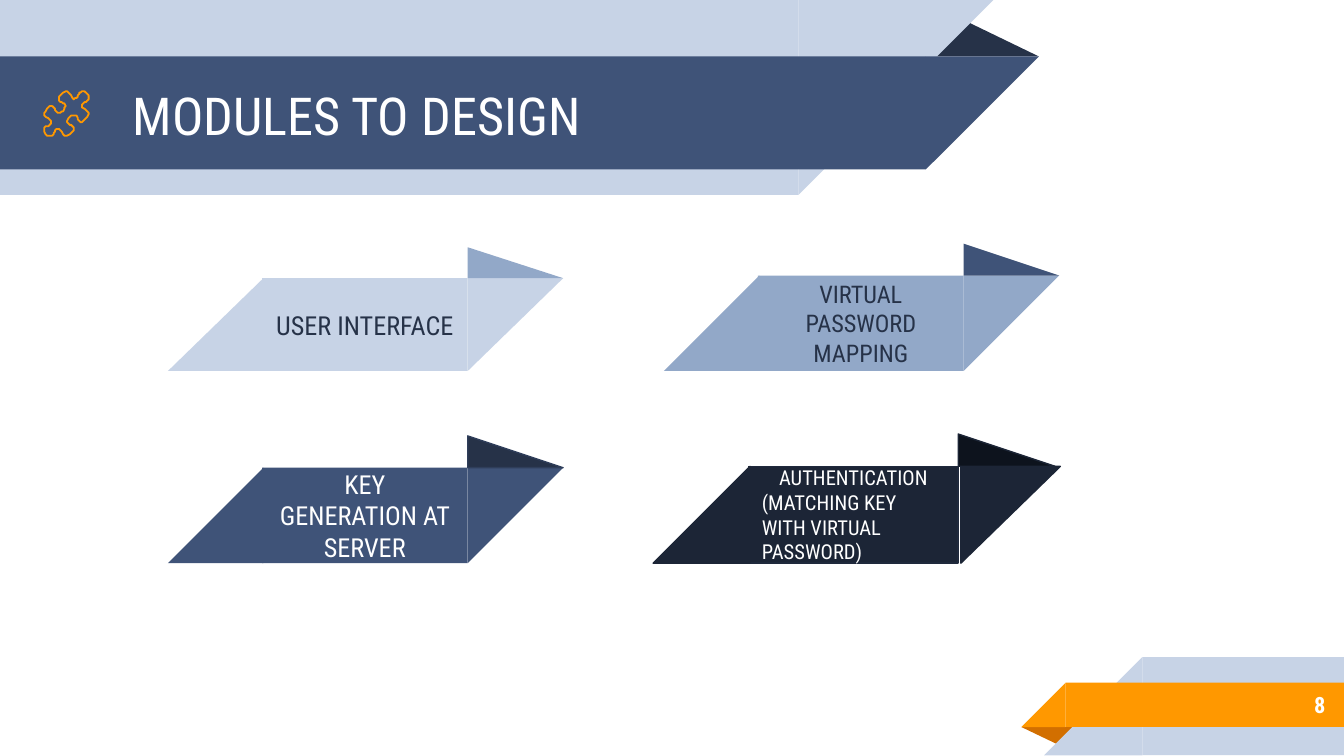
import pptx
import pptx.dml.color
import pptx.enum.shapes
import pptx.enum.text
import pptx.util

Inches = pptx.util.Inches
Pt = pptx.util.Pt
PRESET = pptx.enum.shapes.MSO_SHAPE
ALIGN = pptx.enum.text.PP_ALIGN

COLORS = {
    "pale": "C7D3E6", "sky": "92A8C8", "blue": "3F5378", "navy": "263248",
    "ink": "1C2536", "black": "0D131D", "ink_edge": "1F293C",
    "navy_edge": "2F3E5A", "orange": "FF9800", "rust": "D26F00", "white": "FFFFFF",
}

PUZZLE_POINTS = [
    (62, 77), (63, 76), (64, 76), (65, 75), (66, 74), (66, 73), (66, 71), (65, 70),
    (64, 69), (63, 68), (61, 68), (60, 69), (59, 69), (59, 70), (58, 71), (58, 72),
    (57, 73), (56, 73), (55, 74), (54, 73), (53, 71), (51, 69), (50, 68), (49, 68),
    (47, 69), (46, 70), (44, 72), (44, 73), (44, 75), (45, 76), (46, 76), (47, 77),
    (48, 77), (49, 79), (48, 80), (48, 81), (47, 83), (46, 83), (45, 84), (43, 84),
    (42, 83), (41, 82), (41, 81), (40, 80), (39, 79), (37, 79), (35, 81), (34, 83),
    (33, 84), (33, 86), (34, 87), (36, 88), (38, 90), (38, 92), (37, 93), (36, 94),
    (34, 94), (33, 95), (33, 96), (33, 98), (34, 100), (35, 101), (36, 101), (38, 101),
    (39, 101), (40, 100), (40, 99), (41, 98), (41, 97), (42, 96), (43, 96), (44, 96),
    (45, 97), (46, 98), (47, 100), (48, 101), (50, 101), (52, 100), (54, 98), (55, 97),
    (55, 95), (54, 94), (53, 93), (52, 93), (51, 92), (50, 91), (50, 90), (51, 88),
    (52, 87), (53, 86), (54, 86), (56, 86), (57, 86), (58, 88), (58, 89), (59, 90),
    (60, 91), (61, 91), (63, 89), (65, 87), (66, 85), (66, 84), (65, 83), (63, 81),
    (61, 80), (61, 79), (61, 78),
]


def write_text(shape, text, size=14, color="white", bold=False, aligns=(ALIGN.CENTER,)):
    """Fill a shape with text, one alignment for each line."""
    frame = shape.text_frame
    frame.word_wrap = True
    frame.vertical_anchor = pptx.enum.text.MSO_ANCHOR.MIDDLE
    frame.margin_left = frame.margin_right = Inches(0.1)
    frame.margin_top = frame.margin_bottom = Inches(0.1)
    frame.text = text
    for paragraph, align in zip(frame.paragraphs, aligns):
        paragraph.alignment = align
        font = paragraph.runs[0].font
        font.name = "Roboto Condensed"
        font.size = Pt(size)
        font.bold = bold
        font.color.rgb = pptx.dml.color.RGBColor.from_string(COLORS[color])


class SlidePainter:
    """Draws ribbons, labels and outlines on one slide."""

    def __init__(self, slide):
        self.slide = slide

    def paint(self, shape, fill=None, line=None, width=0.75):
        shape.shadow.inherit = False
        for target, color in ((shape.fill, fill), (shape.line.fill, line)):
            if color:
                target.solid()
                target.fore_color.rgb = pptx.dml.color.RGBColor.from_string(COLORS[color])
            else:
                target.background()
        if line:
            shape.line.width = Pt(width)
        return shape

    def preset(self, kind, box, fill, line=None):
        shape = self.slide.shapes.add_shape(kind, *map(Inches, box))
        return self.paint(shape, fill, line)

    def wedge(self, box, fill, line=None, rotation=0):
        shape = self.preset(PRESET.RIGHT_TRIANGLE, box, fill, line)
        shape.rotation = rotation
        shape.element.spPr.get_or_add_xfrm().set("flipH", "1")

    def fold(self, box, fill, line=None, apex=0, rotation=0):
        shape = self.preset(PRESET.ISOSCELES_TRIANGLE, box, fill, line)
        shape.adjustments[0] = apex
        shape.rotation = rotation

    def band_from_left(self, top, width, height, fill):
        self.preset(PRESET.RECTANGLE, (0, top, width, height), fill)
        self.wedge((width, top, height, height), fill, rotation=180)

    def band_from_right(self, left, top, height, fill):
        start = left + height
        self.preset(PRESET.RECTANGLE, (start, top, 10 - start, height), fill)
        self.wedge((left, top, height, height), fill)

    def ribbon(self, left, top, text, fill, fold_fill, slant=0.71, body=1.53, height=0.71,
               gap=0, body_line=None, wing_line=None, fold_line=None, **text_format):
        start = left + slant - 0.01
        end = start + body
        card = self.preset(PRESET.RECTANGLE, (start, top, body, height), fill, body_line)
        write_text(card, text, **text_format)
        self.wedge((left, top, slant, height), fill, wing_line)
        self.wedge((end + gap, top, slant + gap, height), fill, wing_line, rotation=180)
        self.fold((end, top - height / 3, slant, height / 3), fold_fill, fold_line)

    def label(self, box, text, **text_format):
        write_text(self.slide.shapes.add_textbox(*map(Inches, box)), text, **text_format)

    def outline(self, points, line, width):
        builder = self.slide.shapes.build_freeform(*points[0], scale=Inches(0.01))
        builder.add_line_segments(points[1:], close=True)
        self.paint(builder.convert_to_shape(), line=line, width=width)


def main():
    presentation = pptx.Presentation()
    presentation.slide_width = Inches(10)
    presentation.slide_height = Inches(10 * 9 / 16)
    painter = SlidePainter(presentation.slides.add_slide(presentation.slide_layouts[6]))

    painter.fold((6.88, 0.14, 0.85, 0.28), "navy", apex=0.32)
    painter.band_from_left(0, 5.94, 1.45, "pale")
    painter.band_from_left(0.42, 6.89, 0.84, "blue")
    painter.fold((7.6, 5.41, 0.43, 0.14), "rust", apex=0.32, rotation=180)
    painter.band_from_right(7.77, 4.89, 0.73, "pale")
    painter.band_from_right(7.6, 5.08, 0.33, "orange")

    painter.label((0.89, 0.43, 5.75, 0.84), "MODULES TO DESIGN", size=28, aligns=[ALIGN.LEFT])
    painter.label((8.33, 5.07, 1.63, 0.35), "8", size=12, bold=True, aligns=[ALIGN.RIGHT])

    painter.ribbon(1.25, 2.07, "USER INTERFACE", "pale", "sky", height=0.69, color="navy")
    painter.ribbon(4.94, 2.05, "VIRTUAL PASSWORD MAPPING", "sky", "blue", size=13, color="navy")
    painter.ribbon(1.25, 3.48, "KEY GENERATION AT SERVER", "blue", "navy",
                   fold_line="navy_edge")
    painter.outline(PUZZLE_POINTS, "orange", 0.96)
    painter.ribbon(4.86, 3.47, "AUTHENTICATION\n(MATCHING KEY WITH VIRTUAL PASSWORD)",
                   "ink", "black", slant=0.72, body=1.56, height=0.72, gap=0.02,
                   body_line="ink_edge", wing_line="ink", fold_line="ink",
                   size=11, aligns=[ALIGN.CENTER, ALIGN.LEFT])
    presentation.save("out.pptx")


if __name__ == "__main__":
    main()
